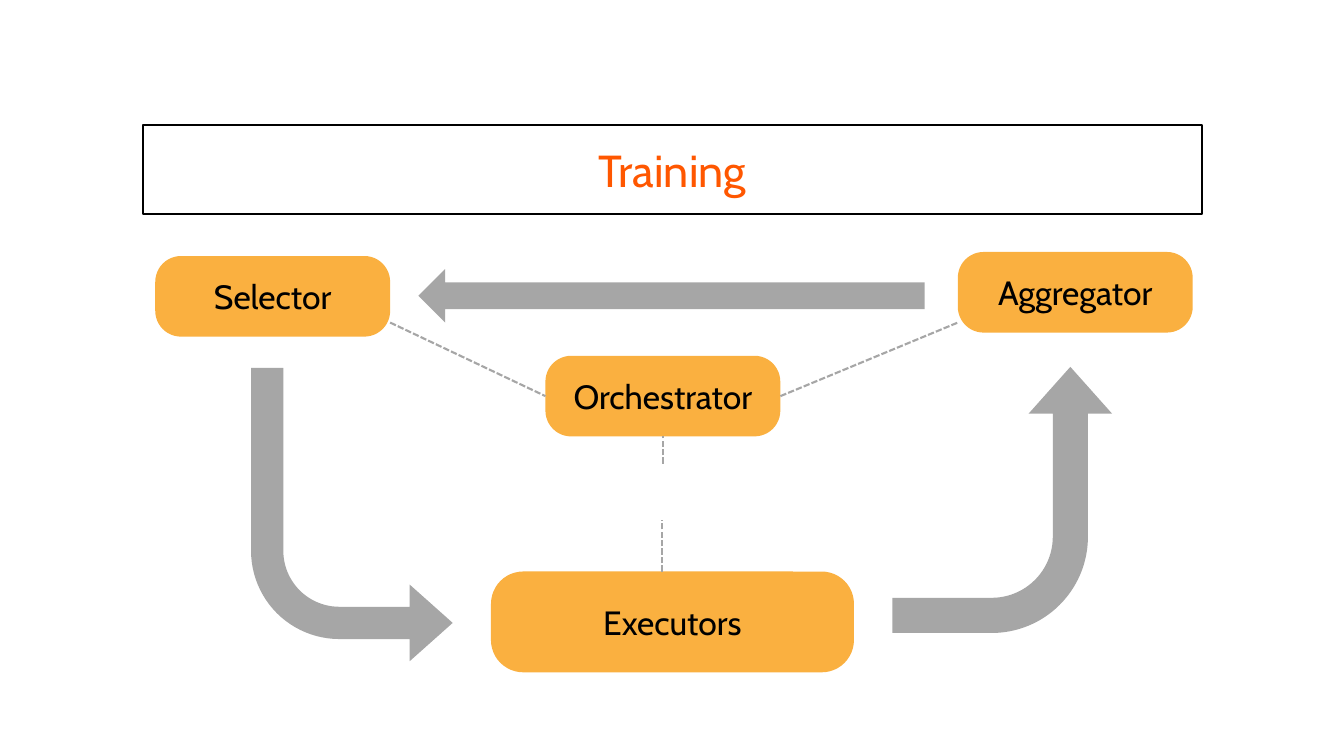
from lxml import etree
from pptx import Presentation
from pptx import util as u
from pptx.dml.color import RGBColor
from pptx.enum import dml, shapes, text
from pptx.oxml import ns

PX = u.Inches(1) // 100
FONT = "Cabin"
BLACK = RGBColor(0x00, 0x00, 0x00)
ORANGE = RGBColor(0xFF, 0x57, 0x00)
AMBER = RGBColor(0xFA, 0xB0, 0x40)
GREY = RGBColor(0xA6, 0xA6, 0xA6)
BENT_ADJUSTMENTS = (0.16, 0.19, 0.213, 0.438)


def px(*lengths):
    """Turn pixel lengths into EMU."""
    return [u.Emu(length * PX) for length in lengths]


def add_block(page, kind, box, fill=None, adjustments=()):
    """Add a flat preset shape without an outline."""
    block = page.shapes.add_shape(kind, *px(*box))
    block.shadow.inherit = False
    block.line.fill.background()
    if fill is None:
        block.fill.background()
    else:
        block.fill.solid()
        block.fill.fore_color.rgb = fill
    for index, value in enumerate(adjustments):
        block.adjustments[index] = value
    return block


def write_label(block, label, size, color):
    """Write one centred line in a block."""
    frame = block.text_frame
    frame.vertical_anchor = text.MSO_ANCHOR.MIDDLE
    para = frame.paragraphs[0]
    para.text = label
    para.alignment = text.PP_ALIGN.CENTER
    para.font.name = FONT
    para.font.size = u.Pt(size)
    para.font.color.rgb = color


def add_node(page, label, box):
    """Add one rounded component of the training cycle."""
    node = add_block(page, shapes.MSO_SHAPE.ROUNDED_RECTANGLE, box, AMBER, (0.32,))
    node.text_frame.margin_left = node.text_frame.margin_right = 0
    write_label(node, label, 24, BLACK)
    return node


def add_bent_arrow(page, box, rotation=0):
    """Add a vertically flipped bent arrow."""
    arrow = add_block(page, shapes.MSO_SHAPE.BENT_ARROW, box, GREY, BENT_ADJUSTMENTS)
    arrow.rotation = rotation
    arrow._element.spPr.find(ns.qn("a:xfrm")).set("flipV", "1")


def add_dashed_link(page, start, end):
    """Add a thin dashed connector."""
    link = page.shapes.add_connector(shapes.MSO_CONNECTOR.STRAIGHT, *px(*start, *end))
    link.line.color.rgb = GREY
    link.line.width = u.Pt(1.5)
    link.line.dash_style = dml.MSO_LINE.SQUARE_DOT
    etree.SubElement(link._element.spPr, ns.qn("a:effectLst"))
    return link


def add_title(page, box):
    """Add the outlined title bar."""
    title = add_block(page, shapes.MSO_SHAPE.RECTANGLE, box)
    title.line.color.rgb = BLACK
    title.line.width = u.Pt(1.5)
    write_label(title, "Training", 32, ORANGE)


def add_cycle(page, box):
    """Add the components, the arrows around them and the orchestrator's links."""
    left, top, width, height = box
    node_width, node_height = 233, 80
    right = left + width
    bottom = top + height
    add_node(page, "Selector", (left + 12, top + 4, node_width, node_height))
    add_node(page, "Aggregator", (right - 21 - node_width, top, node_width, node_height))
    orchestrator = add_node(
        page, "Orchestrator", (left + 399, top + 103, node_width, node_height))
    add_node(page, "Executors", (left + 345, bottom - 100, 360, 100))

    add_bent_arrow(page, (left + 107, top + 115, 200, 291))
    add_bent_arrow(page, (left + 720, top + 137, 264, 218), 270)
    add_block(page, shapes.MSO_SHAPE.LEFT_ARROW, (left + 273, top + 17, 502, 53), GREY)

    to_selector = add_dashed_link(
        page, (left + 245, top + 70), (left + 399, top + 143))
    to_selector.end_connect(orchestrator, 1)
    to_aggregator = add_dashed_link(
        page, (left + 632, top + 143), (left + 808, top + 70))
    to_aggregator.begin_connect(orchestrator, 3)
    below_orchestrator = add_dashed_link(
        page, (left + 516, top + 210), (left + 516, top + 183))
    below_orchestrator.begin_x = orchestrator.left + orchestrator.width // 2
    below_orchestrator.end_connect(orchestrator, 2)
    add_dashed_link(page, (left + 515, bottom - 100), (left + 515, bottom - 151))


def main():
    """Build and save the training slide."""
    deck = Presentation()
    deck.slide_width, deck.slide_height = px(1333, 750)
    page = deck.slides.add_slide(deck.slide_layouts[6])
    add_title(page, (142, 124, 1050, 88))
    add_cycle(page, (142, 250, 1062, 417))
    deck.save("out.pptx")


if __name__ == "__main__":
    main()
